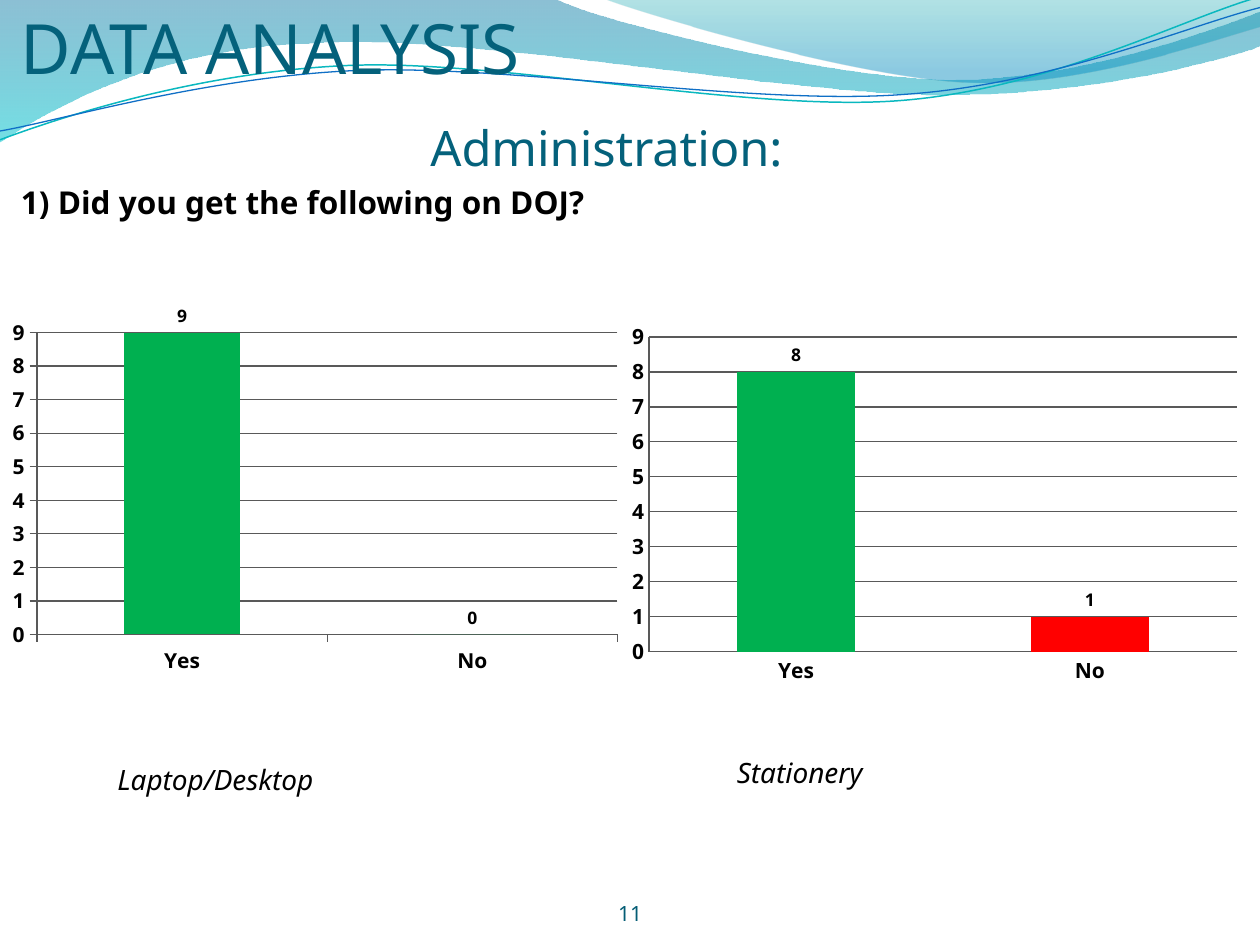
from dataclasses import dataclass
from typing import NamedTuple

from lxml import etree
from pptx import Presentation
from pptx.chart.data import CategoryChartData
from pptx.dml.color import RGBColor
from pptx.enum.chart import XL_CHART_TYPE, XL_LABEL_POSITION, XL_TICK_MARK
from pptx.enum.text import MSO_ANCHOR, PP_ALIGN
from pptx.oxml.ns import qn
from pptx.util import Emu, Inches, Pt


@dataclass(frozen=True)
class Theme:
    """Colours, font and type sizes in points."""
    font: str = "Noto Sans"
    black: str = "000000"
    heading: str = "04617B"
    number: str = "045D75"
    yes: str = "00B050"
    no: str = "FF0000"
    grid: str = "595959"
    title_size: float = 39.6
    section_size: float = 27.9
    question_size: float = 18
    caption_size: float = 16
    axis_size: float = 12
    label_size: float = 10


THEME = Theme()
COLUMNS, ROWS = 120, 90


class Box(NamedTuple):
    """Area in grid columns and rows."""
    col: float
    row: float
    cols: float
    rows: float


class Line(NamedTuple):
    """One paragraph of text."""
    text: str
    size: float
    color: str = THEME.black
    bold: bool = False
    italic: bool = False
    indent: float = 0
    before: float = 0
    align: PP_ALIGN = PP_ALIGN.LEFT


class Stop(NamedTuple):
    """Gradient stop: share of the run, colour, opacity in percent."""
    position: float
    color: str
    opacity: int


class Wave(NamedTuple):
    """Curved outline in inches: two numbers draw a line, six a Bezier curve."""
    start: tuple
    steps: list
    stops: tuple = ()
    line: str = ""
    width: float = 0


class Answer(NamedTuple):
    """Chart of the answers about one item, with its caption."""
    box: Box
    values: tuple
    tick: XL_TICK_MARK
    caption: str
    caption_box: Box


WAVES = [
    Wave((0, 0), [(4.4, -0.01), (4.76, 0.17, 6.64, 0.63, 7.58, 0.63),
                  (8.53, 0.63, 9.58, 0.26, 10, 0.09), (10.01, 0.36),
                  (9.83, 0.44, 8.7, 0.76, 7.46, 0.75),
                  (6.22, 0.75, 3.82, 0.28, 2.57, 0.34),
                  (1.29, 0.36, 0.46, 0.83, -0.01, 1.13), (0, 0)],
         stops=(Stop(0, "0074A1", 45), Stop(1, "00C6CF", 55))),
    Wave((4.79, -0.01), [(5.09, 0.11, 6.82, 0.62, 7.69, 0.65),
                         (8.56, 0.69, 9.61, 0.32, 10, 0.21), (10, 0), (4.79, -0.01)],
         stops=(Stop(0, "00A1A9", 30), Stop(0.8, "008BBF", 45))),
    Wave((0, 1.11), [(0.48, 0.93, 1.58, 0.57, 2.77, 0.52),
                     (3.95, 0.47, 5.93, 0.89, 7.13, 0.8),
                     (8.33, 0.71, 9.38, 0.15, 9.98, -0.02)],
         line="0AB8BF", width=0.85),
    Wave((0, 1.04), [(0.47, 0.96, 1.64, 0.61, 2.83, 0.56),
                     (4.03, 0.51, 5.97, 0.84, 7.17, 0.75),
                     (8.36, 0.67, 9.41, 0.21, 10, 0.06)],
         line="0F6FC6", width=0.75),
]
ANSWERS = [
    Answer(Box(0, 29, 60, 36), (9, 0), XL_TICK_MARK.OUTSIDE,
           "Laptop/Desktop", Box(10, 72, 47, 4.4)),
    Answer(Box(59, 30, 60, 36), (8, 1), XL_TICK_MARK.NONE,
           "Stationery", Box(69, 71.33, 46, 4.4)),
]
HEADING = [
    Line("DATA ANALYSIS", THEME.title_size, THEME.heading),
    Line("Administration:", THEME.section_size, THEME.heading, indent=3.25, before=16.8),
    Line("1) Did you get the following on DOJ?", THEME.question_size, bold=True, before=3.5),
]


def rgb(color: str) -> RGBColor:
    """Turn a hex string into a colour."""
    return RGBColor.from_string(color)


def place(box: Box) -> tuple:
    """Convert grid units to left, top, width and height."""
    cell_w, cell_h = prs.slide_width / COLUMNS, prs.slide_height / ROWS
    return (Emu(round(box.col * cell_w)), Emu(round(box.row * cell_h)),
            Emu(round(box.cols * cell_w)), Emu(round(box.rows * cell_h)))


def bend(shape, steps: list) -> None:
    """Join each three segments that stand for a curve into one Bezier."""
    segments = iter(list(shape._element.iter(qn("a:lnTo"))))
    for step in steps:
        first = next(segments)
        if len(step) == 2:
            continue
        first.tag = qn("a:cubicBezTo")
        for _ in range(2):
            control = next(segments)
            control.getparent().remove(control)
            first.append(control[0])


def draw_wave(wave: Wave) -> None:
    """Draw a filled band or a thin line."""
    points = [(Inches(x), Inches(y)) for step in [wave.start, *wave.steps]
              for x, y in zip(step[::2], step[1::2])]
    builder = slide.shapes.build_freeform(*points[0])
    builder.add_line_segments(points[1:], close=bool(wave.stops))
    shape = builder.convert_to_shape()
    bend(shape, wave.steps)
    shape.shadow.inherit = False
    if not wave.stops:
        shape.fill.background()
        shape.line.color.rgb = rgb(wave.line)
        shape.line.width = Pt(wave.width)
        return
    shape.line.fill.background()
    shape.fill.gradient()
    shape.fill.gradient_angle = 270
    for target, stop in zip(shape.fill.gradient_stops, wave.stops):
        target.position = stop.position
        target.color.rgb = rgb(stop.color)
    for node, stop in zip(shape._element.spPr.iter(qn("a:srgbClr")), wave.stops):
        etree.SubElement(node, qn("a:alpha")).set("val", str(stop.opacity * 1000))


def draw_text(box: Box, lines: list, anchor: MSO_ANCHOR = MSO_ANCHOR.TOP,
              margins: tuple = (0.1, 0.05)) -> None:
    """Draw a text box with one paragraph per line."""
    frame = slide.shapes.add_textbox(*place(box)).text_frame
    frame.word_wrap = True
    frame.vertical_anchor = anchor
    frame.margin_left = frame.margin_right = Inches(margins[0])
    frame.margin_top = frame.margin_bottom = Inches(margins[1])
    for i, line in enumerate(lines):
        paragraph = frame.add_paragraph() if i else frame.paragraphs[0]
        paragraph.alignment = line.align
        paragraph.space_before = Pt(line.before)
        if line.indent:
            paragraph._p.get_or_add_pPr().set("marL", str(Inches(line.indent)))
        run = paragraph.add_run()
        run.text = line.text
        style_font(run.font, line.size, line.color, line.bold)
        run.font.italic = line.italic


def style_font(font, size: float, color: str, bold: bool) -> None:
    """Apply the theme font with size, colour and weight."""
    font.name, font.size, font.bold = THEME.font, Pt(size), bold
    font.color.rgb = rgb(color)


def draw_answer(answer: Answer) -> None:
    """Draw a column chart and its caption."""
    data = CategoryChartData()
    data.categories = ["Yes", "No"]
    data.add_series("Series 1", answer.values)
    chart = slide.shapes.add_chart(
        XL_CHART_TYPE.COLUMN_CLUSTERED, *place(answer.box), data).chart
    chart.has_title = chart.has_legend = False
    style_font(chart.font, THEME.label_size, THEME.black, False)
    for axis in (chart.category_axis, chart.value_axis):
        axis.major_tick_mark, axis.minor_tick_mark = answer.tick, XL_TICK_MARK.NONE
        axis.format.line.color.rgb = rgb(THEME.grid)
        style_font(axis.tick_labels.font, THEME.axis_size, THEME.black, True)
    scale = chart.value_axis
    scale.minimum_scale, scale.maximum_scale, scale.major_unit = 0, 9, 1
    scale.major_gridlines.format.line.color.rgb = rgb(THEME.grid)
    plot = chart.plots[0]
    plot.gap_width, plot.vary_by_categories = 150, False
    series = plot.series[0]
    fills = [(series, THEME.yes)]
    if answer.values[1]:
        fills.append((series.points[1], THEME.no))
    for target, color in fills:
        target.format.fill.solid()
        target.format.fill.fore_color.rgb = rgb(color)
    labels = series.data_labels
    labels.show_value, labels.position = True, XL_LABEL_POSITION.OUTSIDE_END
    style_font(labels.font, THEME.label_size, THEME.black, True)
    draw_text(answer.caption_box, [Line(answer.caption, THEME.caption_size, italic=True)])


prs = Presentation()
prs.slide_width, prs.slide_height = Inches(10), Inches(7.5)
slide = prs.slides.add_slide(prs.slide_layouts[6])
for band in WAVES:
    draw_wave(band)
draw_text(Box(2, 6, 109, 15), HEADING, MSO_ANCHOR.BOTTOM, (0, 0))
draw_text(Box(55, 83.4, 10, 4.8),
          [Line("11", THEME.axis_size, THEME.number, align=PP_ALIGN.CENTER)],
          MSO_ANCHOR.BOTTOM, (0, 0))
for item in ANSWERS:
    draw_answer(item)
prs.save("out.pptx")
